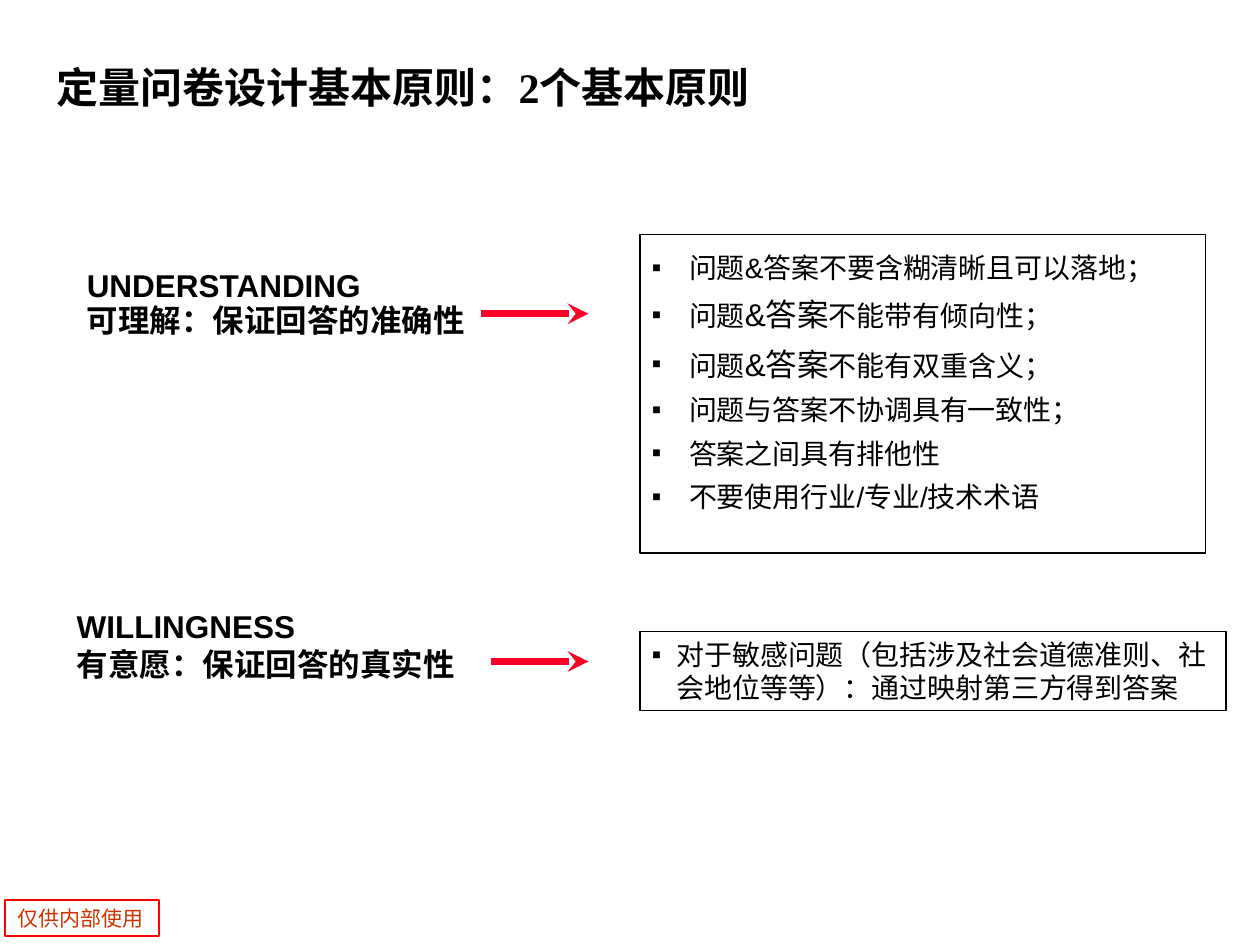
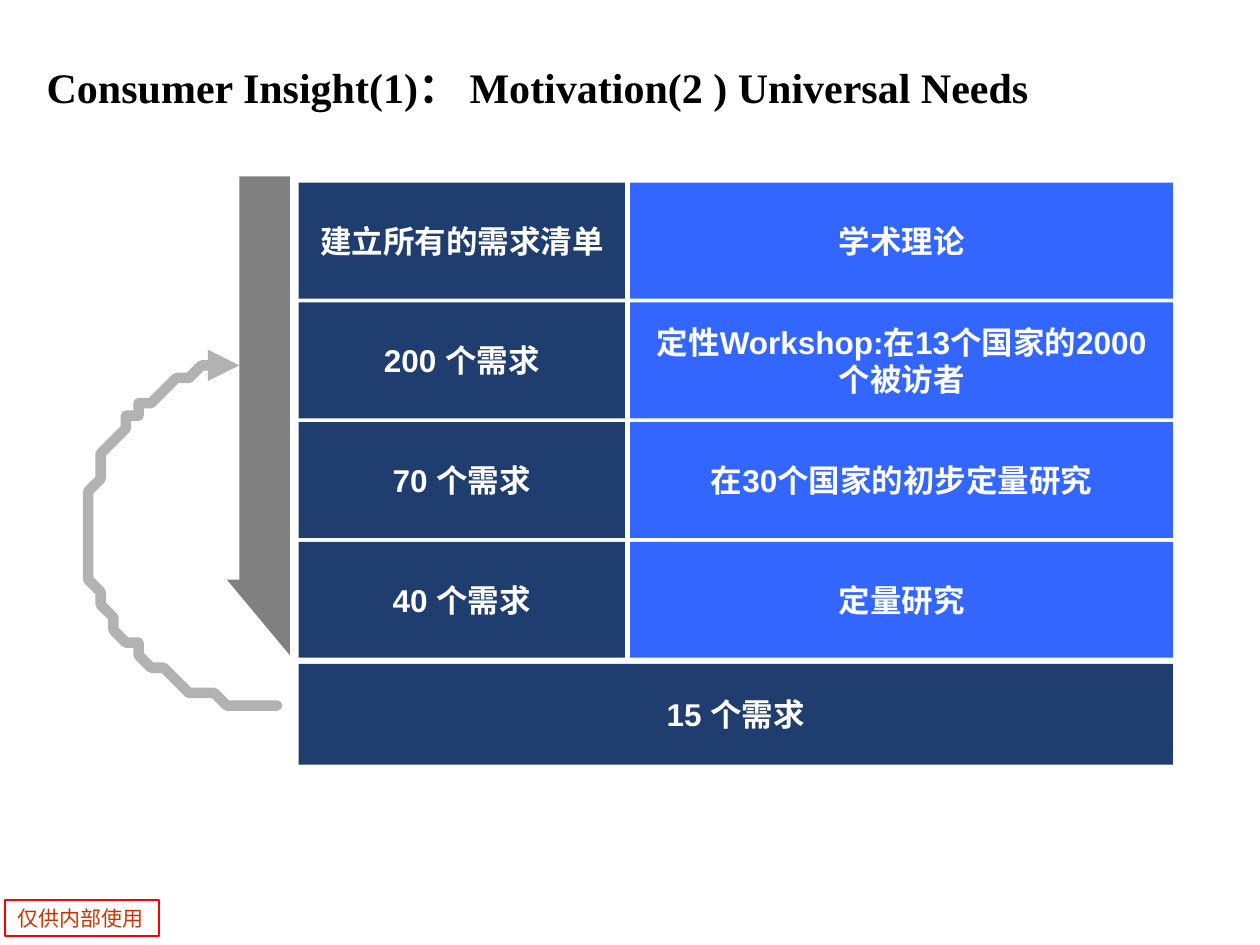
"""Build two slides on questionnaire principles and universal needs."""
import copy

import lxml.etree
import pptx
import pptx.dml.color
import pptx.enum.shapes
import pptx.enum.text
import pptx.oxml.ns
import pptx.util

RECTANGLE = pptx.enum.shapes.MSO_SHAPE.RECTANGLE
ALIGN = pptx.enum.text.PP_ALIGN
ANCHOR = pptx.enum.text.MSO_ANCHOR
qn = pptx.oxml.ns.qn
BLACK, WHITE, RED, BADGE_TEXT = "000000", "FFFFFF", "FF0000", "CC3300"
ARROW_RED, NAVY, BLUE, GREY, LIGHT_GREY = "FC0128", "203D70", "3366FF", "808080", "B2B2B2"
CJK = "Noto Sans CJK SC"


def color(value):
    """Turn a hex string into a colour."""
    return pptx.dml.color.RGBColor.from_string(value)


def put_text(box, area, text, size, ink=BLACK, face="Arial", bold=False,
             align=ALIGN.LEFT, anchor=ANCHOR.TOP):
    """Place a box on the grid, fill it with text and return its paragraphs."""
    box.left, box.top, box.width, box.height = [round(cell * UNIT) for cell in area]
    box.shadow.inherit = False
    box.fill.background()
    box.line.fill.background()
    frame = box.text_frame
    frame.text = text
    frame.word_wrap = True
    frame.vertical_anchor = anchor
    for para in frame.paragraphs:
        para.alignment = align
        for span in para.runs:
            span.font.name = face
            span.font.size = pptx.util.Pt(size)
            span.font.bold = bold
            span.font.color.rgb = color(ink)
            lxml.etree.SubElement(span.font._element, qn("a:ea"), typeface=CJK)
    return frame.paragraphs


deck = pptx.Presentation()
deck.slide_width, deck.slide_height = pptx.util.Inches(10), pptx.util.Inches(7.5)
UNIT = deck.slide_width // 100
layout = deck.slide_layouts[5]

titles = [
    ("定量问卷设计基本原则：2个基本原则", (3.5, 2.3, 94.5, 9.2)),
    ("Consumer Insight(1)： Motivation(2 ) Universal Needs", (2.7, 2.3, 96.9, 9.2)),
]
for title, area in titles:
    page = deck.slides.add_slide(layout)
    put_text(page.shapes.title, area, title, 24, face="Times New Roman", bold=True,
             anchor=ANCHOR.MIDDLE)
principles, needs = deck.slides

badge = principles.shapes.add_shape(RECTANGLE, 0, 0, 0, 0)
put_text(badge, (0.4, 71.4, 12.2, 2.9), "仅供内部使用", 12, BADGE_TEXT, CJK,
         anchor=ANCHOR.MIDDLE)
badge.line.color.rgb = color(RED)
badge.line.width = pptx.util.Pt(1)
layout.shapes.element.append(badge.element)

headings = [
    ("UNDERSTANDING\n可理解：保证回答的准确性", (5.9, 21, 33.9, 6.4), 0.9),
    ("WILLINGNESS\n有意愿：保证回答的真实性", (5.1, 47.7, 33.9, 6.9), 1),
]
for text, area, spacing in headings:
    heading = principles.shapes.add_textbox(0, 0, 0, 0)
    for para in put_text(heading, area, text, 18, bold=True):
        para.line_spacing = spacing

for start, level in [(38.2, 24.9), (39, 52.5)]:
    ends = [round(cell * UNIT) for cell in (start, level, 46.7, level)]
    arrow = principles.shapes.add_connector(pptx.enum.shapes.MSO_CONNECTOR.STRAIGHT, *ends)
    arrow.line.color.rgb = color(ARROW_RED)
    arrow.line.width = pptx.util.Pt(4)
    lxml.etree.SubElement(arrow.line._get_or_add_ln(), qn("a:tailEnd"), type="stealth")
    lxml.etree.SubElement(arrow.element.spPr, qn("a:effectLst"))

rules = """问题&答案不要含糊清晰且可以落地；
问题&答案不能带有倾向性；
问题&答案不能有双重含义；
问题与答案不协调具有一致性；
答案之间具有排他性
不要使用行业/专业/技术术语"""
sensitive = "对于敏感问题（包括涉及社会道德准则、社会地位等等）：通过映射第三方得到答案"
rule_boxes = [
    (rules, (50.8, 18.6, 44.9, 25.3), 1.3, 0.29),
    (sensitive, (50.8, 50.1, 46.5, 6.3), 1, 0.19),
]
for text, area, spacing, indent in rule_boxes:
    box = principles.shapes.add_shape(RECTANGLE, 0, 0, 0, 0)
    paras = put_text(box, area, text, 16)
    box.line.color.rgb = color(BLACK)
    box.line.width = pptx.util.Pt(0.75)
    for para in paras:
        para.line_spacing = spacing
        props = para._p.get_or_add_pPr()
        props.set("marL", str(pptx.util.Inches(indent)))
        props.set("indent", str(-pptx.util.Inches(indent)))
        bullet_color = lxml.etree.SubElement(props, qn("a:buClr"))
        lxml.etree.SubElement(bullet_color, qn("a:srgbClr"), val=BLACK)
        lxml.etree.SubElement(props, qn("a:buSzPct"), val="50000")
        lxml.etree.SubElement(props, qn("a:buFont"), typeface="Arial")
        lxml.etree.SubElement(props, qn("a:buChar"), char="■")
    for para in paras[1:3]:
        words = para.text
        for _ in range(2):
            para._p.append(copy.deepcopy(para.runs[0]._r))
        for span, piece in zip(para.runs, (words[:2], words[2:5], words[5:])):
            span.text = piece
        para.runs[1].font.size = pptx.util.Pt(18)

steps = [
    ("建立所有的需求清单", "学术理论"),
    ("200 个需求", "定性Workshop:在13个国家的2000个被访者"),
    ("70 个需求", "在30个国家的初步定量研究"),
    ("40 个需求", "定量研究"),
]
cells = [("15 个需求", (23.7, 52.7, 69.4, 8), NAVY)]
for row, (need, method) in enumerate(steps):
    top = 14.5 + 9.5 * row
    cells.append((need, (23.7, top, 25.9, 9.2), NAVY))
    cells.append((method, (50, top, 43.1, 9.2), BLUE))
for text, area, fill in cells:
    cell = needs.shapes.add_shape(RECTANGLE, 0, 0, 0, 0)
    put_text(cell, area, text, 18, WHITE, bold=True, align=ALIGN.CENTER, anchor=ANCHOR.MIDDLE)
    cell.fill.solid()
    cell.fill.fore_color.rgb = color(fill)

outline = needs.shapes.build_freeform(19.3, 14.5, scale=UNIT)
outline.add_line_segments([(19.3, 46.5), (18.3, 46.5), (23.1, 52.2), (23.1, 14.5)])
down_arrow = outline.convert_to_shape()
down_arrow.shadow.inherit = False
down_arrow.fill.solid()
down_arrow.fill.fore_color.rgb = color(GREY)
down_arrow.line.fill.background()

curves = [
    ((18.6, 28.6), (11.9, 30), (6.9, 35.6), (6.9, 42.2)),
    ((6.9, 42.2), (6.9, 49.8), (13.6, 56.1), (21.9, 56.1)),
]
points = []
for curve in curves:
    for step in range(1, 25):
        t = step / 24
        weights = ((1 - t) ** 3, 3 * t * (1 - t) ** 2, 3 * t ** 2 * (1 - t), t ** 3)
        points.append([sum(w * p[axis] for w, p in zip(weights, curve)) for axis in (0, 1)])
outline = needs.shapes.build_freeform(*curves[0][0], scale=UNIT)
outline.add_line_segments(points, close=False)
loop_arrow = outline.convert_to_shape()
loop_arrow.shadow.inherit = False
loop_arrow.fill.background()
loop_arrow.line.color.rgb = color(LIGHT_GREY)
loop_arrow.line.width = pptx.util.Pt(6)
stroke = loop_arrow.line._get_or_add_ln()
stroke.set("cap", "rnd")
lxml.etree.SubElement(stroke, qn("a:round"))
lxml.etree.SubElement(stroke, qn("a:headEnd"), type="triangle")

deck.save("out.pptx")
